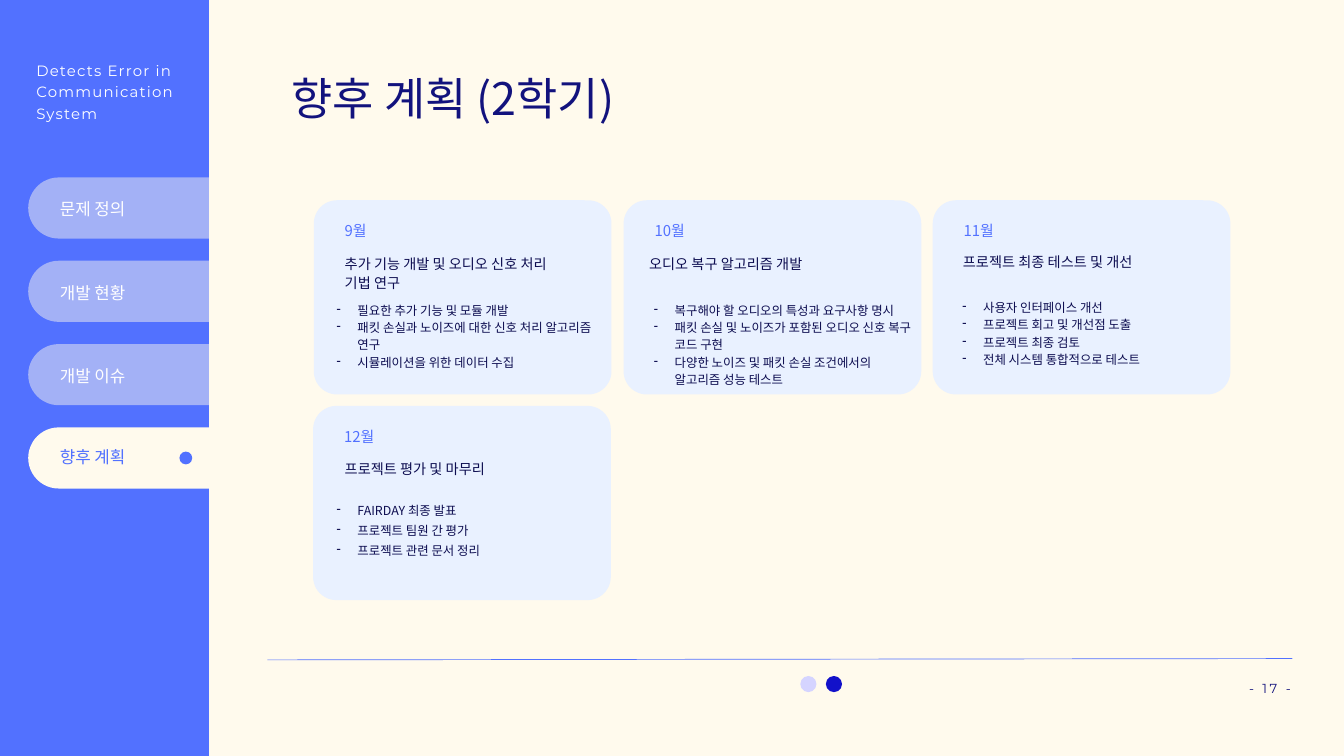
from lxml.etree import SubElement
from pptx import Presentation
from pptx.dml.color import RGBColor
from pptx.enum.shapes import MSO_CONNECTOR, MSO_SHAPE
from pptx.enum.text import MSO_ANCHOR, MSO_AUTO_SIZE, PP_ALIGN
from pptx.oxml.ns import qn
from pptx.util import Inches, Pt

CREAM, BLUE, NAVY, INK, WHITE = "FFFAED", "5271FF", "12127D", "0D0D50", "FFFFFF"
PALE, LILAC, DEEP = "E9F1FF", "D5D4FF", "1211CA"
KOREAN, LATIN, MENU = "Noto Sans CJK KR", "Montserrat", "Calibri"


def rgb(value):
    """Turn a hex string into a colour."""
    return RGBColor.from_string(value)


class Deck:
    """Hold the style and the current slide."""

    def __init__(self, prs):
        """Add a title-only slide with a cream background."""
        self.s = prs.slides.add_slide(prs.slide_layouts[5])
        fill = self.s.background.fill
        fill.solid()
        fill.fore_color.rgb = rgb(CREAM)

    def shape(self, kind, x, y, w, h, color, radius=None, alpha=None):
        """Add a filled shape without an outline."""
        sp = self.s.shapes.add_shape(kind, Inches(x), Inches(y), Inches(w), Inches(h))
        sp.shadow.inherit = False
        sp.fill.solid()
        sp.fill.fore_color.rgb = rgb(color)
        sp.line.fill.background()
        if radius is not None:
            sp.adjustments[0] = radius
        if alpha is not None:
            clr = sp._element.spPr.find(qn("a:solidFill"))[0]
            SubElement(clr, qn("a:alpha"), val=str(alpha * 1000))
        return sp

    def dot(self, x, y, d, color):
        """Add a round dot."""
        return self.shape(MSO_SHAPE.OVAL, x, y, d, d, color)

    def fill_text(self, sp, lines, size, color, font, leading, spc=0, align=PP_ALIGN.LEFT,
                  bullet=None):
        """Fill a shape with one paragraph per line."""
        tf = sp.text_frame
        tf.word_wrap = True
        tf.auto_size = MSO_AUTO_SIZE.SHAPE_TO_FIT_TEXT
        tf.vertical_anchor = MSO_ANCHOR.TOP
        tf.margin_left = tf.margin_right = tf.margin_top = tf.margin_bottom = 0
        for i, line in enumerate(lines):
            p = tf.paragraphs[0] if i == 0 else tf.add_paragraph()
            p.alignment = align
            p.line_spacing = Pt(leading)
            if bullet:
                pPr = p._p.get_or_add_pPr()
                pPr.set("marL", str(Inches(0.31)))
                pPr.set("indent", str(Inches(-0.31)))
                SubElement(pPr, qn("a:buChar"), char=bullet)
            r = p.add_run()
            r.text = line
            r.font.size = Pt(size)
            r.font.name = font
            r.font.color.rgb = rgb(color)
            rPr = r._r.get_or_add_rPr()
            SubElement(rPr, qn("a:ea"), typeface=font)
            if spc:
                rPr.set("spc", str(round(spc * 100)))

    def text(self, x, y, w, h, lines, *style, **options):
        """Add a text box."""
        sp = self.s.shapes.add_textbox(Inches(x), Inches(y), Inches(w), Inches(h))
        self.fill_text(sp, lines, *style, **options)

    def title(self, x, y, w, h, line):
        """Place and format the title."""
        sp = self.s.shapes.title
        sp.left, sp.top, sp.width, sp.height = Inches(x), Inches(y), Inches(w), Inches(h)
        self.fill_text(sp, [line], 48, NAVY, KOREAN, 48)

    def line(self, x1, y1, x2, y2):
        """Add a thin rule."""
        sp = self.s.shapes.add_connector(
            MSO_CONNECTOR.STRAIGHT, Inches(x1), Inches(y1), Inches(x2), Inches(y2))
        sp.line.color.rgb = rgb(BLUE)
        sp.line.width = Pt(0.75)
        SubElement(sp._element.spPr, qn("a:effectLst"))

    def card(self, x, y, month, heading, head_box, items, item_box, leading=18.6):
        """Add a month card with a heading and a dashed list."""
        self.shape(MSO_SHAPE.ROUNDED_RECTANGLE, x, y, 4.43, 2.89, PALE, 0.12)
        self.text(x + 0.46, y + 0.32, 2.8, 0.27, [month], 16, BLUE, KOREAN, 19.2)
        self.text(*head_box, [heading], 15.2, INK, KOREAN, 21.3)
        self.text(*item_box, items, 13.3, INK, KOREAN, leading, bullet="-")

    def tab(self, y, label, text_y, active=False):
        """Add a menu tab running out of the sidebar."""
        self.shape(MSO_SHAPE.ROUNDED_RECTANGLE, 0.42, y, 3.56, 0.91, CREAM, 0.5,
                   None if active else 47)
        self.text(0.89, text_y, 2.55, 0.3, [label], 18, BLUE if active else WHITE, MENU, 21.6)
        if active:
            self.dot(2.67, y + 0.36, 0.19, BLUE)


CARDS = [
    (4.67, 2.98, "9월", "추가 기능 개발 및 오디오 신호 처리 기법 연구", (5.13, 3.75, 3.17, 0.57),
     ["필요한 추가 기능 및 모듈 개발", "패킷 손실과 노이즈에 대한 신호 처리 알고리즘 연구",
      "시뮬레이션을 위한 데이터 수집"], (5.01, 4.47, 3.98, 1.04)),
    (4.66, 6.04, "12월", "프로젝트 평가 및 마무리", (5.13, 6.81, 3.53, 0.28),
     ["FAIRDAY 최종 발표", "프로젝트 팀원 간 평가", "프로젝트 관련 문서 정리"],
     (5.01, 7.41, 3.7, 0.86), 21.3),
    (9.28, 2.98, "10월", "오디오 복구 알고리즘 개발", (9.66, 3.75, 4.04, 0.28),
     ["복구해야 할 오디오의 특성과 요구사항 명시",
      "패킷 손실 및 노이즈가 포함된 오디오 신호 복구 코드 구현",
      "다양한 노이즈 및 패킷 손실 조건에서의 알고리즘 성능 테스트"], (9.73, 4.47, 3.91, 1.31)),
    (13.88, 2.98, "11월", "프로젝트 최종 테스트 및 개선", (14.33, 3.73, 3.7, 0.28),
     ["사용자 인터페이스 개선", "프로젝트 회고 및 개선점 도출", "프로젝트 최종 검토",
      "전체 시스템 통합적으로 테스트"], (14.32, 4.43, 3.53, 1.04)),
]
TABS = [("문제 정의", 2.95), ("개발 현황", 4.2), ("개발 이슈", 5.44), ("향후 계획", 6.65)]


def main():
    """Build and save the slide."""
    prs = Presentation()
    prs.slide_width, prs.slide_height = Inches(20), Inches(11.25)
    deck = Deck(prs)
    deck.title(4.34, 1.18, 8.99, 0.68, "향후 계획 (2학기)")
    deck.text(15.84, 10.12, 3.37, 0.22, ["- 17 -"], 14, NAVY, LATIN, 16.8,
              spc=2.7, align=PP_ALIGN.RIGHT)
    deck.dot(11.91, 10.06, 0.24, LILAC)
    deck.dot(12.29, 10.06, 0.24, DEEP)
    for card in CARDS:
        deck.card(*card)
    deck.shape(MSO_SHAPE.RECTANGLE, 0, 0, 3.11, 11.25, BLUE)
    deck.text(0.54, 0.86, 2.13, 0.93, ["Detects Error in", "Communication", "System"],
              16, WHITE, LATIN, 23, spc=1.3)
    for i, (label, text_y) in enumerate(TABS):
        deck.tab(2.64 + 1.24 * i, label, text_y, active=i == len(TABS) - 1)
    deck.line(3.98, 9.82, 19.23, 9.8)
    prs.save("out.pptx")


if __name__ == "__main__":
    main()
